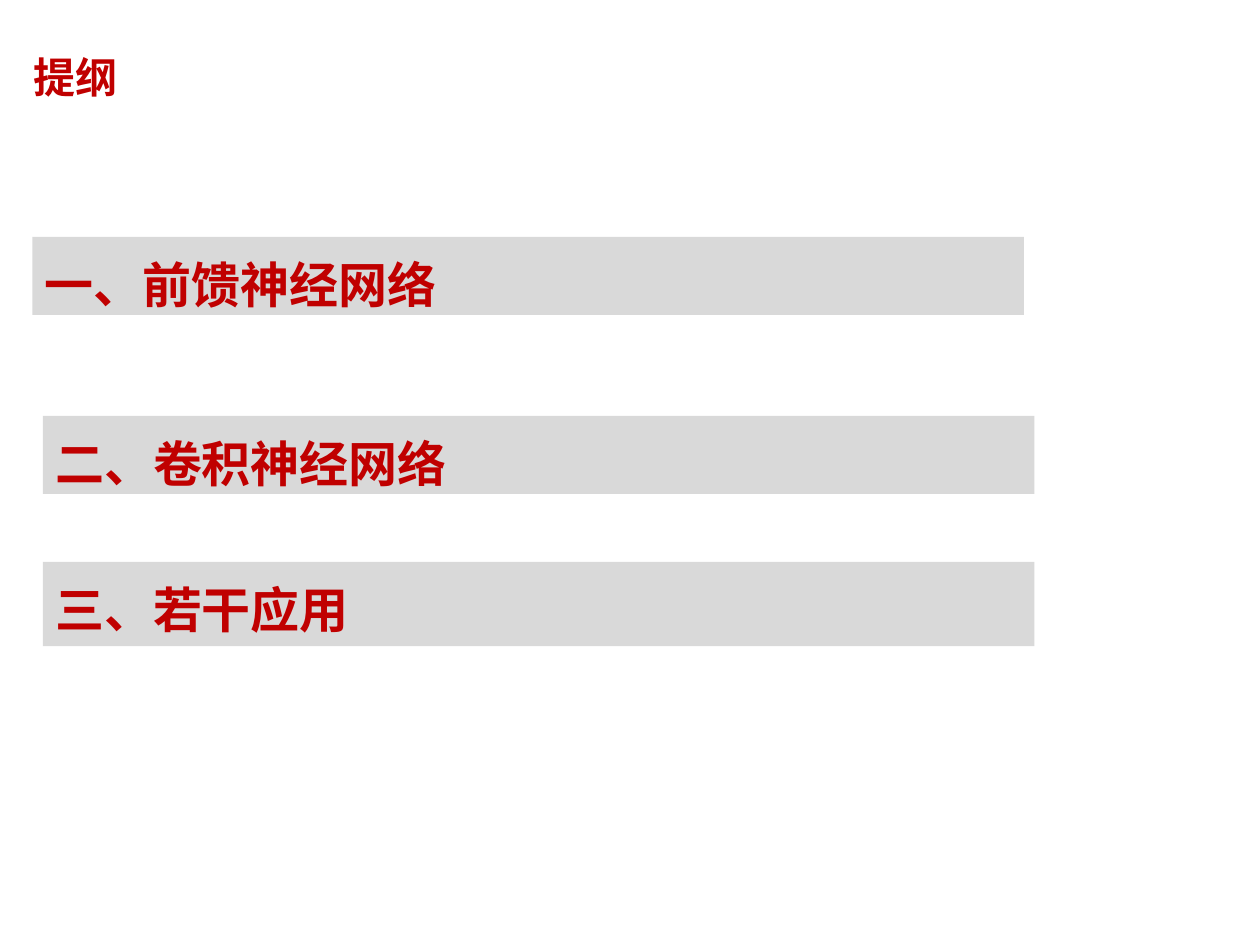
from pptx import Presentation
from pptx.dml.color import RGBColor
from pptx.enum.shapes import MSO_SHAPE as Shape
from pptx.enum.text import MSO_ANCHOR as Anchor, MSO_AUTO_SIZE as AutoSize, PP_ALIGN as Align
from pptx.util import Pt

COLORS = {"heading": "C00000", "bar": "D9D9D9", "background": "FFFFFF"}
FONT = "Times New Roman"
BAR_WIDTH = 566.6
# Section heading, left, top and height of its bar
SECTIONS = [
    ("一、前馈神经网络", 18.5, 135.4, 44.6),
    ("二、卷积神经网络", 24.5, 237.6, 44.6),
    ("三、若干应用", 24.5, 321.1, 48.2),
]


def color(key):
    return RGBColor.from_string(COLORS[key])


def place(shape, left, top, width, height):
    shape.left, shape.top, shape.width, shape.height = map(Pt, (left, top, width, height))


def write_heading(frame, text, size):
    """Put one bold, left-aligned red line into a text frame."""
    frame.word_wrap = True
    frame.auto_size = AutoSize.NONE
    paragraph = frame.paragraphs[0]
    paragraph.text = text
    paragraph.alignment = Align.LEFT
    font = paragraph.font
    font.name, font.size, font.bold = FONT, Pt(size), True
    font.color.rgb = color("heading")
    return paragraph


def add_title(slide, text, left, top, width, height):
    title = slide.shapes.title
    place(title, left, top, width, height)
    frame = title.text_frame
    frame.vertical_anchor = Anchor.MIDDLE
    frame.margin_left = Pt(17.5)
    write_heading(frame, text, 24)


def add_section_bar(slide, text, left, top, width, height):
    bar = slide.shapes.add_shape(Shape.RECTANGLE, *map(Pt, (left, top, width, height)))
    bar.shadow.inherit = False
    bar.fill.solid()
    bar.fill.fore_color.rgb = color("bar")
    bar.line.fill.background()
    bar.text_frame.vertical_anchor = Anchor.TOP
    write_heading(bar.text_frame, text, 28).line_spacing = 1.2


def main():
    deck = Presentation()
    deck.slide_width, deck.slide_height = Pt(720), Pt(540)
    slide = deck.slides.add_slide(deck.slide_layouts[5])
    slide.background.fill.solid()
    slide.background.fill.fore_color.rgb = color("background")
    add_title(slide, "提纲", 1.4, 7.9, 534.2, 71.3)
    for text, left, top, height in SECTIONS:
        add_section_bar(slide, text, left, top, BAR_WIDTH, height)
    deck.save("out.pptx")


if __name__ == "__main__":
    main()
